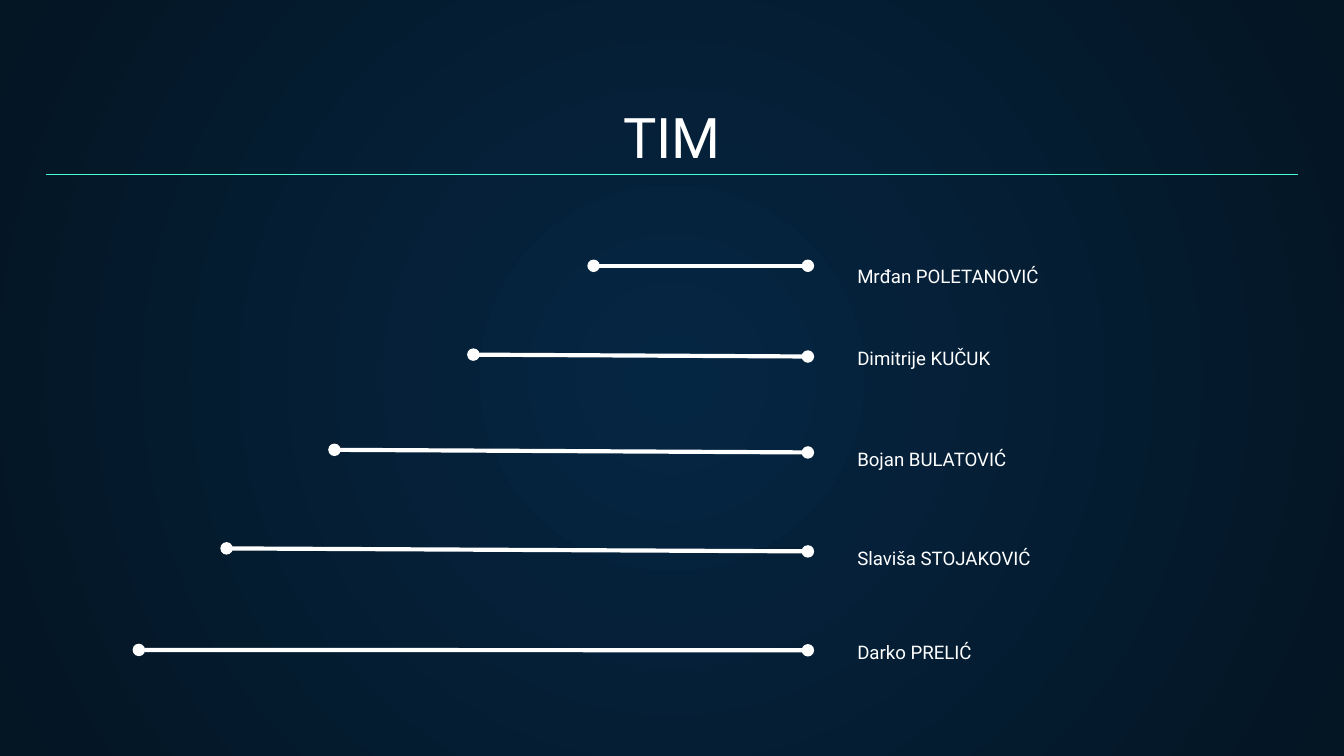
from lxml import etree
from pptx import Presentation
from pptx.dml.color import RGBColor
from pptx.enum import shapes, text
from pptx.oxml.ns import qn
from pptx.util import Pt

WHITE = RGBColor(0xFF, 0xFF, 0xFF)
MINT = RGBColor(0x48, 0xFF, 0xD5)
NAVY = RGBColor(0x05, 0x26, 0x43)
NIGHT = RGBColor(0x04, 0x15, 0x23)


def write(box, words, size=10, pad=7.2, align=text.PP_ALIGN.LEFT,
          anchor=text.MSO_ANCHOR.TOP):
    frame = box.text_frame
    frame.auto_size = text.MSO_AUTO_SIZE.NONE
    frame.word_wrap = True
    frame.vertical_anchor = anchor
    frame.margin_left = frame.margin_right = Pt(7.2)
    frame.margin_top = frame.margin_bottom = Pt(pad)
    para = frame.paragraphs[0]
    para.alignment = align
    run = para.add_run()
    run.text = words
    run.font.name = "Roboto"
    run.font.size = Pt(size)
    run.font.color.rgb = WHITE


def draw(x1, y1, x2, y2, color, width, dots=False):
    """Add a straight line, with round ends if dots is set."""
    line = slide.shapes.add_connector(
        shapes.MSO_CONNECTOR.STRAIGHT, Pt(x1), Pt(y1), Pt(x2), Pt(y2))
    line.line.color.rgb = color
    line.line.width = Pt(width)
    props = line._element.spPr
    if dots:
        for end in ("a:headEnd", "a:tailEnd"):
            etree.SubElement(props.find(qn("a:ln")), qn(end), type="oval")
    etree.SubElement(props, qn("a:effectLst"))


deck = Presentation()
deck.slide_width, deck.slide_height = Pt(720), Pt(405)
slide = deck.slides.add_slide(deck.slide_layouts[5])

# Radial background
fill = slide.background.fill
fill.gradient()
for stop, color in zip(fill.gradient_stops, (NAVY, NIGHT)):
    stop.color.rgb = color
grad = slide.background._cSld.find(".//" + qn("a:gradFill"))
grad.remove(grad.find(qn("a:lin")))
ring = etree.SubElement(grad, qn("a:path"), path="circle")
etree.SubElement(ring, qn("a:fillToRect"),
                 {side: "50000" for side in "ltrb"})

# Title and rule
title = slide.shapes.title
title.left, title.top, title.width, title.height = map(
    Pt, (24.5, 50.4, 671, 47.5))
write(title, "TIM", size=30, align=text.PP_ALIGN.CENTER,
      anchor=text.MSO_ANCHOR.BOTTOM)
draw(24.5, 93.6, 695.5, 93.6, MINT, 0.75)

# Team: name, line start x, start y, end y, label top, label padding
team = [
    ("Mrđan POLETANOVIĆ", 318, 142.4, 142.4, 134.6, 7.2),
    ("Dimitrije KUČUK", 253.6, 190, 191, 178.4, 7.2),
    ("Bojan BULATOVIĆ", 179.2, 241, 242.4, 232.8, 7.2),
    ("Slaviša STOJAKOVIĆ", 121.4, 293.8, 295.4, 289.6, 3.6),
    ("Darko PRELIĆ", 74.4, 348.2, 348.4, 339.8, 3.6),
]
for name, left, y1, y2, top, pad in team:
    draw(left, y1, 432.8, y2, WHITE, 2.25, dots=True)
    label = slide.shapes.add_textbox(Pt(452.2), Pt(top), Pt(163.4), Pt(19.4))
    write(label, name, pad=pad)

deck.save("out.pptx")
